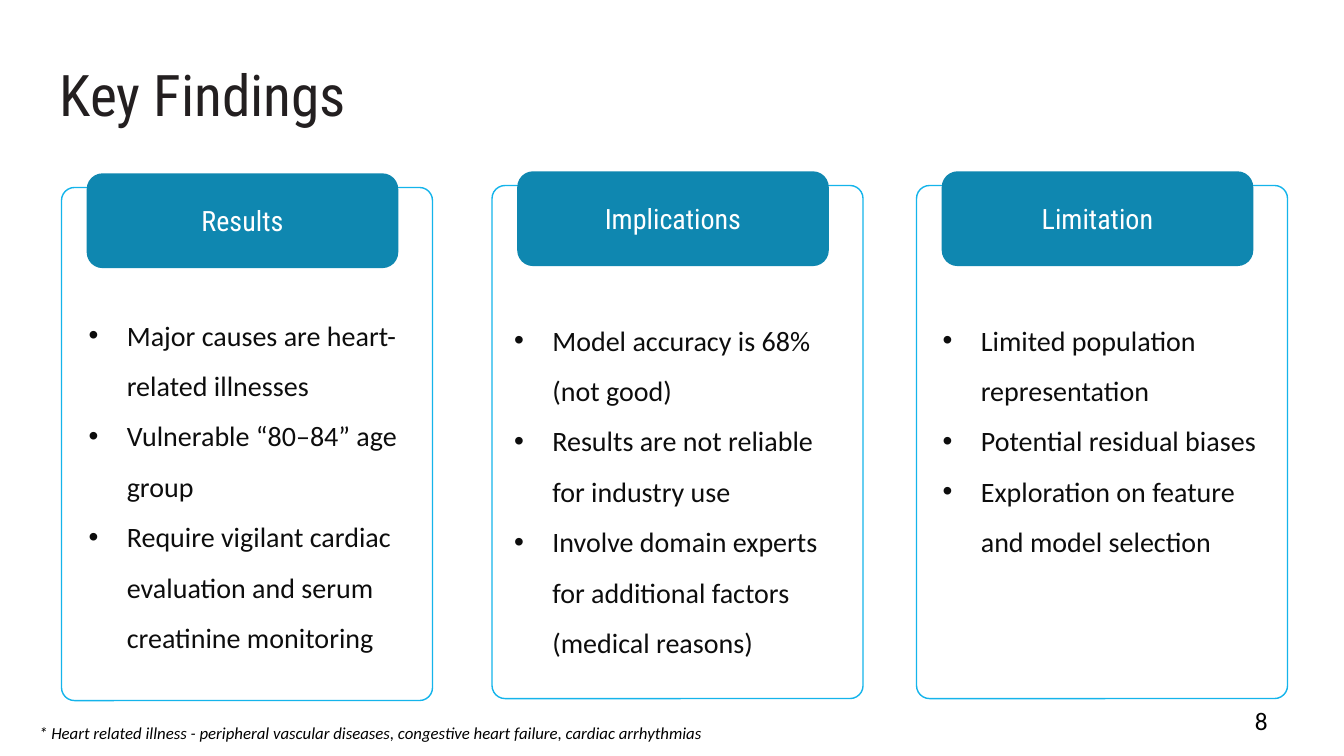
import pptx
import pptx.dml.color
import pptx.enum.shapes
import pptx.enum.text
import pptx.oxml.ns
import pptx.util
from lxml import etree
from pptx.util import Inches

COLORS = {
    "title": "231F20",
    "body": "0D0D0D",
    "black": "000000",
    "white": "FFFFFF",
    "header": "0F87B0",
    "outline": "14B4EB",
}
HEADING_FONT = "Roboto Condensed"
BODY_FONT = "Calibri"
BULLET_INDENT = 0.38
TEXT_INSETS = (0.1, 0.05, 0.1, 0.05)

# Heading, card left, card top, list left, list top, list height, findings
COLUMNS = [
    ("Results", 0.61, 1.86, 0.78, 2.94, 3.58, [
        "Major causes are heart-related illnesses",
        "Vulnerable “80–84” age group",
        "Require vigilant cardiac evaluation and serum creatinine monitoring",
    ]),
    ("Implications", 4.88, 1.84, 5.0, 2.99, 3.58, [
        "Model accuracy is 68% (not good)",
        "Results are not reliable for industry use",
        "Involve domain experts for additional factors (medical reasons)",
    ]),
    ("Limitation", 9.09, 1.84, 9.25, 2.99, 3.08, [
        "Limited population representation",
        "Potential residual biases",
        "Exploration on feature and model selection",
    ]),
]


def rgb(name):
    return pptx.dml.color.RGBColor.from_string(COLORS[name])


def add_bullet(paragraph):
    properties = paragraph._p.get_or_add_pPr()
    properties.set("marL", str(Inches(BULLET_INDENT)))
    properties.set("indent", str(-Inches(BULLET_INDENT)))
    bullet_font = etree.SubElement(properties, pptx.oxml.ns.qn("a:buFont"))
    bullet_font.set("typeface", "Arial")
    bullet = etree.SubElement(properties, pptx.oxml.ns.qn("a:buChar"))
    bullet.set("char", "•")


def write_text(frame, lines, size, color, font=BODY_FONT, italic=False,
               align="LEFT", anchor="TOP", spacing=None, bullets=False,
               insets=TEXT_INSETS):
    frame.word_wrap = True
    frame.vertical_anchor = pptx.enum.text.MSO_ANCHOR[anchor]
    (frame.margin_left, frame.margin_top,
     frame.margin_right, frame.margin_bottom) = map(Inches, insets)
    for index, line in enumerate(lines):
        paragraph = frame.add_paragraph() if index else frame.paragraphs[0]
        paragraph.alignment = pptx.enum.text.PP_ALIGN[align]
        if spacing:
            paragraph.line_spacing = spacing
        if bullets:
            add_bullet(paragraph)
        run = paragraph.add_run()
        run.text = line
        run.font.name = font
        run.font.size = pptx.util.Pt(size)
        run.font.italic = italic
        run.font.color.rgb = rgb(color)


def add_text(slide, box, lines, **text_format):
    textbox = slide.shapes.add_textbox(*map(Inches, box))
    write_text(textbox.text_frame, lines, **text_format)


def add_rounded(shapes, box, rounding, fill, outline=None):
    panel = shapes.add_shape(
        pptx.enum.shapes.MSO_SHAPE.ROUNDED_RECTANGLE, *map(Inches, box))
    panel.adjustments[0] = rounding
    panel.shadow.inherit = False
    panel.fill.solid()
    panel.fill.fore_color.rgb = rgb(fill)
    if outline:
        panel.line.color.rgb = rgb(outline)
        panel.line.width = pptx.util.Pt(1)
    else:
        panel.line.fill.background()
    return panel


def add_card(slide, heading, left, top):
    card = slide.shapes.add_group_shape().shapes
    add_rounded(card, (left, top, 3.68, 5.09), 0.035, "white", "outline")
    header = add_rounded(card, (left + 0.25, top - 0.14, 3.09, 0.94),
                         0.167, "header")
    write_text(header.text_frame, [heading], size=20, color="white",
               font=HEADING_FONT, align="CENTER", anchor="MIDDLE",
               insets=(0.07, 0.04, 0.07, 0.04))


def main():
    deck = pptx.Presentation()
    deck.slide_width = Inches(13.33)
    deck.slide_height = Inches(7.5)
    slide = deck.slides.add_slide(deck.slide_layouts[6])

    # Title and page number
    add_text(slide, (0.59, 0.33, 8.71, 0.96), ["Key Findings"], size=41,
             color="title", font=HEADING_FONT, spacing=1.38,
             insets=(0, 0, 0, 0))
    add_text(slide, (9.56, 6.95, 3.11, 0.4), ["8"], size=18, color="black",
             align="RIGHT")

    # Cards with their findings
    for heading, left, top, list_left, list_top, height, findings in COLUMNS:
        add_card(slide, heading, left, top)
        add_text(slide, (list_left, list_top, 3.34, height), findings,
                 size=20, color="body", spacing=1.5, bullets=True)

    # Footnote
    add_text(slide, (0.29, 7.12, 11.87, 0.3),
             ["* Heart related illness - peripheral vascular diseases, "
              "congestive heart failure, cardiac arrhythmias"],
             size=12, color="black", italic=True)

    deck.save("out.pptx")


if __name__ == "__main__":
    main()
